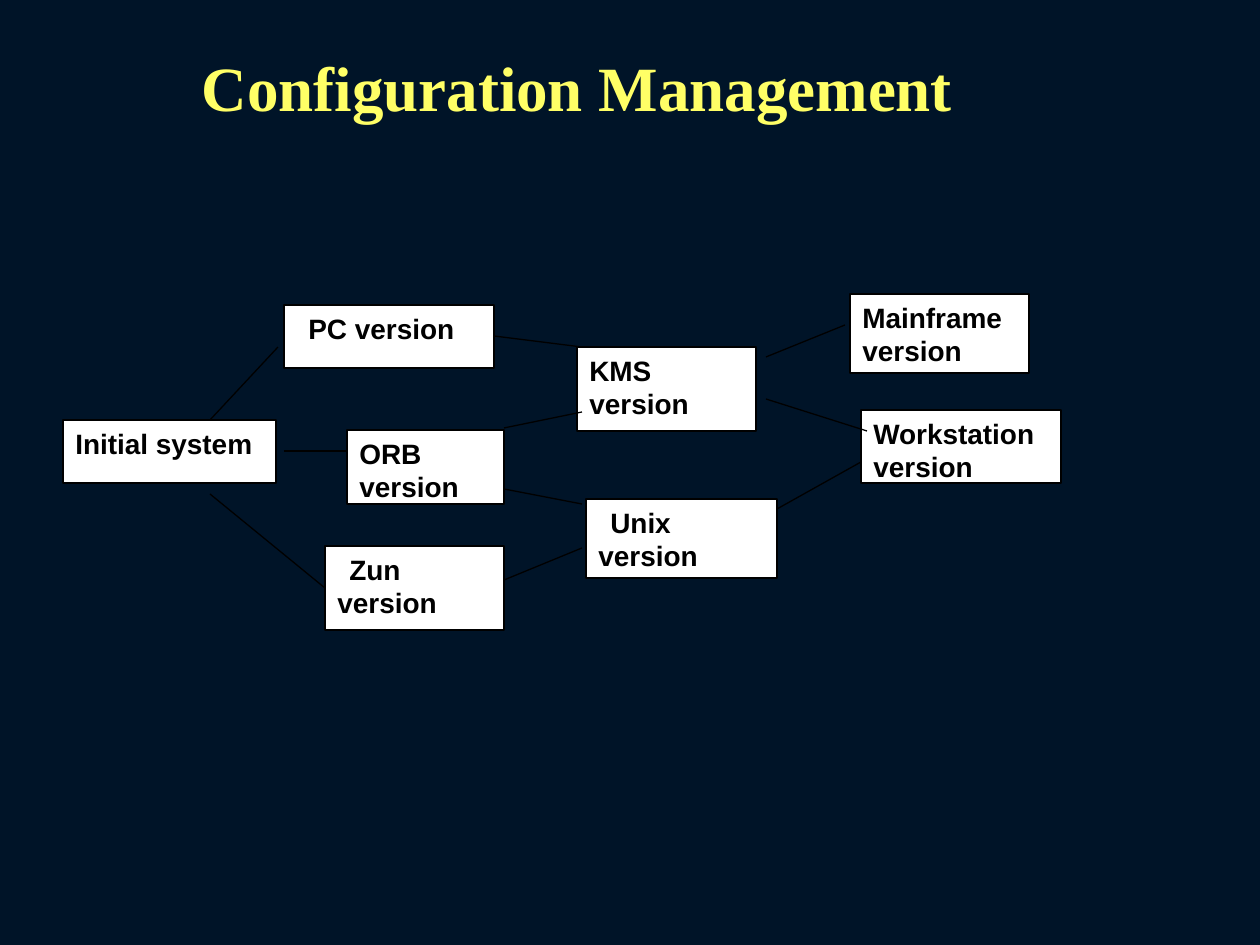
from dataclasses import dataclass
from typing import Any, NamedTuple

from lxml import etree
from pptx import Presentation
from pptx.dml.color import RGBColor
from pptx.enum.shapes import MSO_CONNECTOR, MSO_SHAPE
from pptx.enum.text import MSO_ANCHOR, MSO_AUTO_SIZE, PP_ALIGN
from pptx.oxml.ns import qn
from pptx.util import Emu, Pt

RECT = MSO_SHAPE.RECTANGLE
STRAIGHT = MSO_CONNECTOR.STRAIGHT
TOP = MSO_ANCHOR.TOP
GROW = MSO_AUTO_SIZE.SHAPE_TO_FIT_TEXT
LEFT, CENTER = PP_ALIGN.LEFT, PP_ALIGN.CENTER
SCALE = 914400 / 126


@dataclass(frozen=True)
class Theme:
    back: RGBColor = RGBColor(0x00, 0x14, 0x28)
    paper: RGBColor = RGBColor(0xFF, 0xFF, 0xFF)
    ink: RGBColor = RGBColor(0x00, 0x00, 0x00)
    gold: RGBColor = RGBColor(0xFF, 0xFF, 0x66)
    head: Pt = Pt(36)
    body: Pt = Pt(16)
    rule: Pt = Pt(0.75)
    serif: str = "Times New Roman"
    sans: str = "Arial"


class Box(NamedTuple):
    text: str
    left: int
    top: int
    width: int
    height: int
    indent: int = 0


class Link(NamedTuple):
    x1: int
    y1: int
    x2: int
    y2: int


THEME = Theme()
TITLE = Box("Configuration Management", 73, 42, 1008, 88)
BOXES = [
    Box("PC version", 284, 305, 210, 63, 12),
    Box("Initial system", 63, 420, 213, 63),
    Box("ORB version", 347, 430, 157, 74),
    Box("KMS version", 577, 347, 179, 84),
    Box("Unix version", 586, 499, 191, 79, 12),
    Box("Mainframe version", 850, 294, 179, 79),
    Box("Workstation version", 861, 410, 200, 73),
    Box("Zun version", 325, 546, 179, 84, 12),
]
LINKS = [
    Link(210, 420, 278, 347),
    Link(284, 451, 347, 451),
    Link(210, 494, 325, 588),
    Link(504, 580, 582, 548),
    Link(494, 336, 582, 347),
    Link(504, 428, 582, 412),
    Link(504, 489, 582, 504),
    Link(766, 357, 845, 325),
    Link(766, 399, 867, 431),
    Link(777, 509, 861, 462),
]
HEAD = {"name": THEME.serif, "size": THEME.head, "bold": True}
BODY = {"name": THEME.sans, "size": THEME.body, "bold": True}


def px(*nums: int) -> list[Emu]:
    return [Emu(round(num * SCALE)) for num in nums]


def style(item: Any, form: dict[str, Any]) -> None:
    for key, value in form.items():
        setattr(item, key, value)


def write(shape: Any, box: Box, form: dict[str, Any],
          tint: RGBColor, align: PP_ALIGN) -> None:
    frame = shape.text_frame
    style(frame, {"word_wrap": True, "vertical_anchor": TOP})
    para = frame.paragraphs[0]
    para.alignment = align
    if box.indent:
        para._p.get_or_add_pPr().set("indent", str(px(box.indent)[0]))
    run = para.add_run()
    run.text = box.text
    style(run.font, form)
    run.font.color.rgb = tint


def stroke(line: Any) -> None:
    line.color.rgb = THEME.ink
    line.width = THEME.rule


def draw_box(slide: Any, box: Box) -> None:
    shape = slide.shapes.add_shape(
        RECT, *px(box.left, box.top, box.width, box.height))
    shape.shadow.inherit = False
    shape.fill.solid()
    shape.fill.fore_color.rgb = THEME.paper
    stroke(shape.line)
    write(shape, box, BODY, THEME.ink, LEFT)


def draw_link(slide: Any, link: Link) -> None:
    wire = slide.shapes.add_connector(STRAIGHT, *px(*link))
    stroke(wire.line)
    etree.SubElement(wire._element.spPr, qn("a:effectLst"))


def draw_title(slide: Any, box: Box) -> None:
    shape = slide.shapes.add_textbox(
        *px(box.left, box.top, box.width, box.height))
    write(shape, box, HEAD, THEME.gold, CENTER)
    shape.text_frame.auto_size = GROW


def main() -> None:
    deck = Presentation()
    deck.slide_width, deck.slide_height = px(1260, 945)
    slide = deck.slides.add_slide(deck.slide_layouts[6])
    fill = slide.background.fill
    fill.solid()
    fill.fore_color.rgb = THEME.back
    draw_title(slide, TITLE)
    for box in BOXES:
        draw_box(slide, box)
    for link in LINKS:
        draw_link(slide, link)
    deck.save("out.pptx")


if __name__ == "__main__":
    main()
